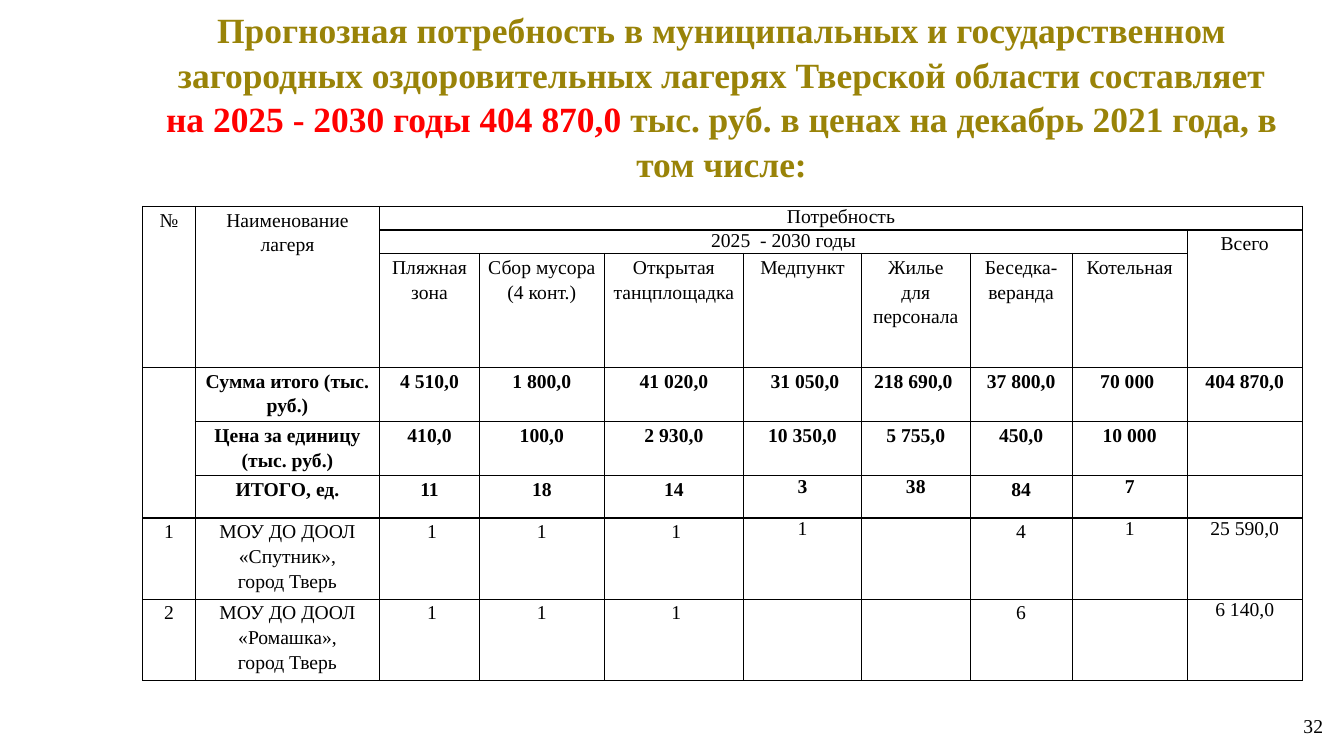
from dataclasses import dataclass

from lxml import etree
from pptx import Presentation
from pptx import util as u
from pptx.dml.color import RGBColor
from pptx.enum import text
from pptx.oxml import ns


@dataclass(frozen=True)
class Theme:
    font: str = "Times New Roman"
    heading: str = "998308"
    accent: str = "FF0000"
    ink: str = "000000"
    heading_size: float = 25.3
    body_size: float = 14
    border_width: float = 1


THEME = Theme()

HEADING = [
    [("Прогнозная потребность в муниципальных и государственном загородных "
      "оздоровительных лагерях Тверской области составляет", THEME.heading)],
    [("на 2025 - 2030 годы 404 870,0 ", THEME.accent),
     ("тыс. руб. в ценах на декабрь 2021 года, в том числе:", THEME.heading)],
]

COLUMN_WIDTHS = [1.32, 4.65, 2.51, 3.15, 3.51, 2.97, 2.74, 2.57, 2.9, 2.9]
ROW_HEIGHTS = [0.56, 0.56, 2.87, 1.25, 1.3, 1.07, 1.89, 1.89]
NEEDS = [
    ["№", "Наименование лагеря", "Потребность", "", "", "", "", "", "", ""],
    ["", "", "2025  - 2030 годы", "", "", "", "", "", "", "Всего"],
    ["", "", "Пляжная зона", "Сбор мусора (4 конт.)", "Открытая танцплощадка",
     "Медпункт", "Жилье для персонала", "Беседка-веранда", "Котельная", ""],
    ["", "Сумма итого (тыс. руб.)", "4 510,0", "1 800,0", "41 020,0",
     " 31 050,0", "218 690,0 ", "37 800,0", "70 000 ", "404 870,0"],
    ["", "Цена за единицу (тыс. руб.)", "410,0", "100,0", "2 930,0",
     "10 350,0", "5 755,0", "450,0", "10 000", ""],
    ["", "ИТОГО, ед.", "11", "18", "14", "3", "38", "84", "7", ""],
    ["1", "МОУ ДО ДООЛ «Спутник»,\nгород Тверь", " 1", "1", " 1",
     "1", "", "4", "1", "25 590,0"],
    ["2", "МОУ ДО ДООЛ «Ромашка»,\nгород Тверь", " 1", "1", " 1",
     "", "", "6", "", "6 140,0"],
]
# First row, first column, last row, last column
MERGES = [(0, 0, 2, 0), (0, 1, 2, 1), (0, 2, 0, 9), (1, 2, 1, 8),
          (1, 9, 2, 9), (3, 0, 5, 0)]
TOTAL_ROWS = range(3, 6)
WIDE_INSET_COLUMNS = (5, 6, 8)
TIGHT_COLUMNS = (5, 6, 8, 9)


def add_run(paragraph, wording, size, color, bold=False):
    run = paragraph.add_run()
    run.text = wording
    run.font.name = THEME.font
    run.font.size = u.Pt(size)
    run.font.bold = bold
    run.font.color.rgb = RGBColor.from_string(color)


def add_heading(slide, left, top, width, height):
    frame = slide.shapes.add_textbox(left, top, width, height).text_frame
    frame.word_wrap = True
    frame.vertical_anchor = text.MSO_ANCHOR.MIDDLE
    for index, parts in enumerate(HEADING):
        paragraph = frame.add_paragraph() if index else frame.paragraphs[0]
        paragraph.alignment = text.PP_ALIGN.CENTER
        paragraph.line_spacing = 1.05
        for wording, color in parts:
            add_run(paragraph, wording, THEME.heading_size, color, bold=True)


def add_borders(cell):
    properties = cell._tc.get_or_add_tcPr()
    for index, side in enumerate(("a:lnL", "a:lnR", "a:lnT", "a:lnB")):
        line = etree.Element(ns.qn(side), w=str(u.Pt(THEME.border_width)))
        fill = etree.SubElement(line, ns.qn("a:solidFill"))
        etree.SubElement(fill, ns.qn("a:srgbClr"), val=THEME.ink)
        properties.insert(index, line)


def fill_cell(cell, wording, row, column):
    wide = column in WIDE_INSET_COLUMNS and 2 <= row <= 5
    cell.margin_left = cell.margin_right = u.Cm(0.25 if wide else 0.15)
    cell.margin_top = cell.margin_bottom = 0
    cell.fill.background()
    add_borders(cell)
    frame = cell.text_frame
    if not wording:
        etree.SubElement(frame.paragraphs[0]._p, ns.qn("a:endParaRPr"),
                         sz=str(round(THEME.body_size * 100)))
        return
    tight = (row < 2 and column == 2) or (row >= 5 and column in TIGHT_COLUMNS)
    for index, line in enumerate(wording.split("\n")):
        paragraph = frame.add_paragraph() if index else frame.paragraphs[0]
        paragraph.alignment = text.PP_ALIGN.CENTER
        paragraph.line_spacing = 1.0 if tight else 1.15
        add_run(paragraph, line, THEME.body_size, THEME.ink,
                bold=row in TOTAL_ROWS)


def add_needs_table(slide, left, top):
    table = slide.shapes.add_table(
        len(ROW_HEIGHTS), len(COLUMN_WIDTHS), left, top,
        u.Cm(sum(COLUMN_WIDTHS)), u.Cm(sum(ROW_HEIGHTS))).table
    table.first_row = table.horz_banding = False
    for column, width in zip(table.columns, COLUMN_WIDTHS):
        column.width = u.Cm(width)
    for row, height in zip(table.rows, ROW_HEIGHTS):
        row.height = u.Cm(height)
    for first_row, first_column, last_row, last_column in MERGES:
        table.cell(first_row, first_column).merge(
            table.cell(last_row, last_column))
    for row, wordings in enumerate(NEEDS):
        for column, wording in enumerate(wordings):
            fill_cell(table.cell(row, column), wording, row, column)


def add_page_number(slide, left, top, width, height):
    frame = slide.shapes.add_textbox(left, top, width, height).text_frame
    frame.word_wrap = False
    frame.auto_size = text.MSO_AUTO_SIZE.SHAPE_TO_FIT_TEXT
    add_run(frame.paragraphs[0], "32", THEME.body_size, THEME.ink)


def main():
    deck = Presentation()
    deck.slide_width, deck.slide_height = u.Cm(33.87), u.Cm(19.05)
    slide = deck.slides.add_slide(deck.slide_layouts[6])
    add_heading(slide, u.Cm(3.3), u.Cm(0.2), u.Cm(29.77), u.Cm(4.4))
    add_needs_table(slide, u.Cm(3.6), u.Cm(5.2))
    add_page_number(slide, u.Cm(32.6), u.Cm(17.86), u.Cm(1.02), u.Cm(0.86))
    deck.save("out.pptx")


if __name__ == "__main__":
    main()
